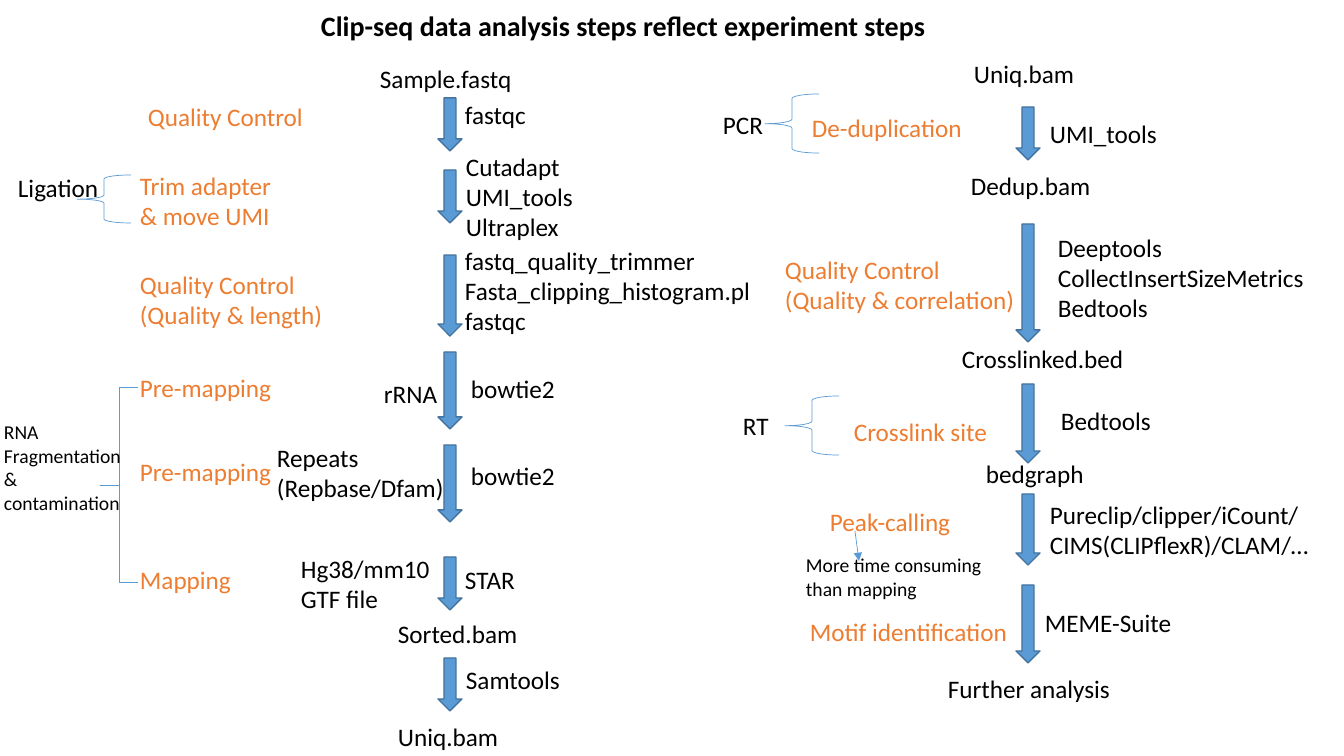
from lxml import etree
from pptx import Presentation
from pptx import util as u
from pptx.dml.color import RGBColor
from pptx.enum import shapes, text
from pptx.oxml.ns import qn

PIXEL = 914400 / 100.8
FONT = "Calibri"
BLACK, ORANGE, BLUE, DARK_BLUE = "000000", "ED7D31", "5B9BD5", "43739E"
ARROW_WIDTH = 24


def px(value):
    """Turn pixels into EMU."""
    return u.Emu(round(value * PIXEL))


def color(value):
    """Turn a hex string into a colour."""
    return RGBColor.from_string(value)


def add_text(slide, box, left, top, width, words, ink=BLACK, size=18, bold=False, lines=None):
    """Add a text box, one paragraph per line of words, relative to box."""
    lines = lines or words.count("\n") + 1
    shape = slide.shapes.add_textbox(px(box[0] + left), px(box[1] + top),
                                     px(width), px(10 + lines * size * 1.7))
    frame = shape.text_frame
    frame.word_wrap = True
    frame.auto_size = text.MSO_AUTO_SIZE.SHAPE_TO_FIT_TEXT
    frame.text = words
    for paragraph in frame.paragraphs:
        for run in paragraph.runs:
            run.font.name = FONT
            run.font.size = u.Pt(size)
            run.font.bold = bold
            run.font.color.rgb = color(ink)


def add_texts(slide, box, entries, **style):
    """Add several text boxes that share a style."""
    for left, top, width, words, *lines in entries:
        add_text(slide, box, left, top, width, words, lines=lines[0] if lines else None, **style)


def add_flow(slide, box, left, arrows):
    """Add a column of down arrows, given as (top, height)."""
    for top, height in arrows:
        shape = slide.shapes.add_shape(shapes.MSO_SHAPE.DOWN_ARROW, px(box[0] + left),
                                       px(box[1] + top), px(ARROW_WIDTH), px(height))
        shape.shadow.inherit = False
        shape.fill.solid()
        shape.fill.fore_color.rgb = color(BLUE)
        shape.line.color.rgb = color(DARK_BLUE)
        shape.line.width = u.Pt(1)


def add_brace(slide, box, left, top, width, height, curve=0.083):
    """Add a thin left brace."""
    shape = slide.shapes.add_shape(shapes.MSO_SHAPE.LEFT_BRACE, px(box[0] + left),
                                   px(box[1] + top), px(width), px(height))
    shape.adjustments[0] = curve
    shape.adjustments[1] = 0.503
    shape.shadow.inherit = False
    shape.fill.background()
    shape.line.color.rgb = color(BLUE)
    shape.line.width = u.Pt(0.5)


def add_pointer(slide, box, start, end):
    """Add a thin line with an arrowhead at its end."""
    line = slide.shapes.add_connector(
        shapes.MSO_CONNECTOR.STRAIGHT, px(box[0] + start[0]), px(box[1] + start[1]),
        px(box[0] + end[0]), px(box[1] + end[1]))
    line.line.color.rgb = color(BLUE)
    line.line.width = u.Pt(0.5)
    etree.SubElement(line.line._get_or_add_ln(), qn("a:tailEnd"), type="triangle")
    etree.SubElement(line._element.spPr, qn("a:effectLst"))


def add_title(slide, box):
    """Add the slide title."""
    add_text(slide, box, 0, 0, 802, "Clip-seq data analysis steps reflect experiment steps",
             size=20, bold=True)


def add_mapping_steps(slide, box):
    """Add the left flow, from raw reads to uniquely mapped reads."""
    add_flow(slide, box, 438, [(48, 53), (120, 53), (205, 81), (302, 77),
                               (395, 77), (507, 53), (608, 53)])
    stages = [
        (138, 46, 288, "Quality Control"),
        (130, 115, 163, "Trim adapter & move UMI", 2),
        (130, 214, 227, "Quality Control\n(Quality & length)"),
        (130, 317, 163, "Pre-mapping"),
        (130, 401, 163, "Pre-mapping"),
        (130, 509, 163, "Mapping"),
    ]
    tools = [
        (455, 44, 114, "fastqc"),
        (456, 96, 251, "Cutadapt\nUMI_tools\nUltraplex"),
        (455, 190, 346, "fastq_quality_trimmer\nFasta_clipping_histogram.pl\nfastqc"),
        (461, 318, 258, "bowtie2"),
        (461, 405, 258, "bowtie2"),
        (455, 509, 258, "STAR"),
        (456, 609, 226, "Samtools"),
    ]
    files = [
        (370, 8, 171, "Sample.fastq"),
        (374, 323, 163, "rRNA"),
        (267, 387, 226, "Repeats\n(Repbase/Dfam)"),
        (291, 498, 226, "Hg38/mm10\nGTF file"),
        (388, 563, 174, "Sorted.bam"),
        (388, 666, 174, "Uniq.bam"),
    ]
    add_texts(slide, box, stages, ink=ORANGE)
    add_texts(slide, box, tools + files)
    add_brace(slide, box, 77, 125, 54, 48)
    add_text(slide, box, 8, 117, 181, "Ligation")
    add_brace(slide, box, 100, 337, 38, 195, curve=0)
    add_text(slide, box, -6, 365, 181, "RNA\nFragmentation\n&\ncontamination", size=14)


def add_crosslink_steps(slide, box):
    """Add the right flow, from unique reads to further analysis."""
    add_flow(slide, box, 316, [(57, 53), (174, 118), (334, 79), (444, 71), (535, 78)])
    stages = [
        (102, 57, 193, "De-duplication"),
        (75, 199, 288, "Quality Control\n(Quality & correlation)"),
        (144, 361, 212, "Crosslink site"),
        (120, 451, 164, "Peak-calling"),
        (100, 561, 222, "Motif identification"),
    ]
    tools = [
        (340, 63, 302, "UMI_tools"),
        (348, 177, 302, "Deeptools\nCollectInsertSizeMetrics\nBedtools"),
        (351, 350, 302, "Bedtools"),
        (340, 444, 282, "Pureclip/clipper/iCount/CIMS(CLIPflexR)/CLAM/…", 2),
        (335, 552, 282, "MEME-Suite"),
    ]
    files = [
        (264, 3, 174, "Uniq.bam"),
        (261, 115, 174, "Dedup.bam"),
        (252, 288, 212, "Crosslinked.bed"),
        (276, 403, 212, "bedgraph"),
        (238, 618, 243, "Further analysis"),
    ]
    causes = [(13, 54, 181, "PCR"), (33, 355, 181, "RT")]
    add_texts(slide, box, stages, ink=ORANGE)
    add_texts(slide, box, tools + files + causes)
    for left, top in [(65, 44), (85, 346)]:
        add_brace(slide, box, left, top, 54, 59)
    add_pointer(slide, box, (155, 481), (159, 511))
    add_text(slide, box, 96, 498, 328, "More time consuming\nthan mapping", size=14)


presentation = Presentation()
presentation.slide_width, presentation.slide_height = px(1344), px(756)
slide = presentation.slides.add_slide(presentation.slide_layouts[6])
add_title(slide, (311, 4))
add_mapping_steps(slide, (0, 50))
add_crosslink_steps(slide, (700, 50))
presentation.save("out.pptx")
